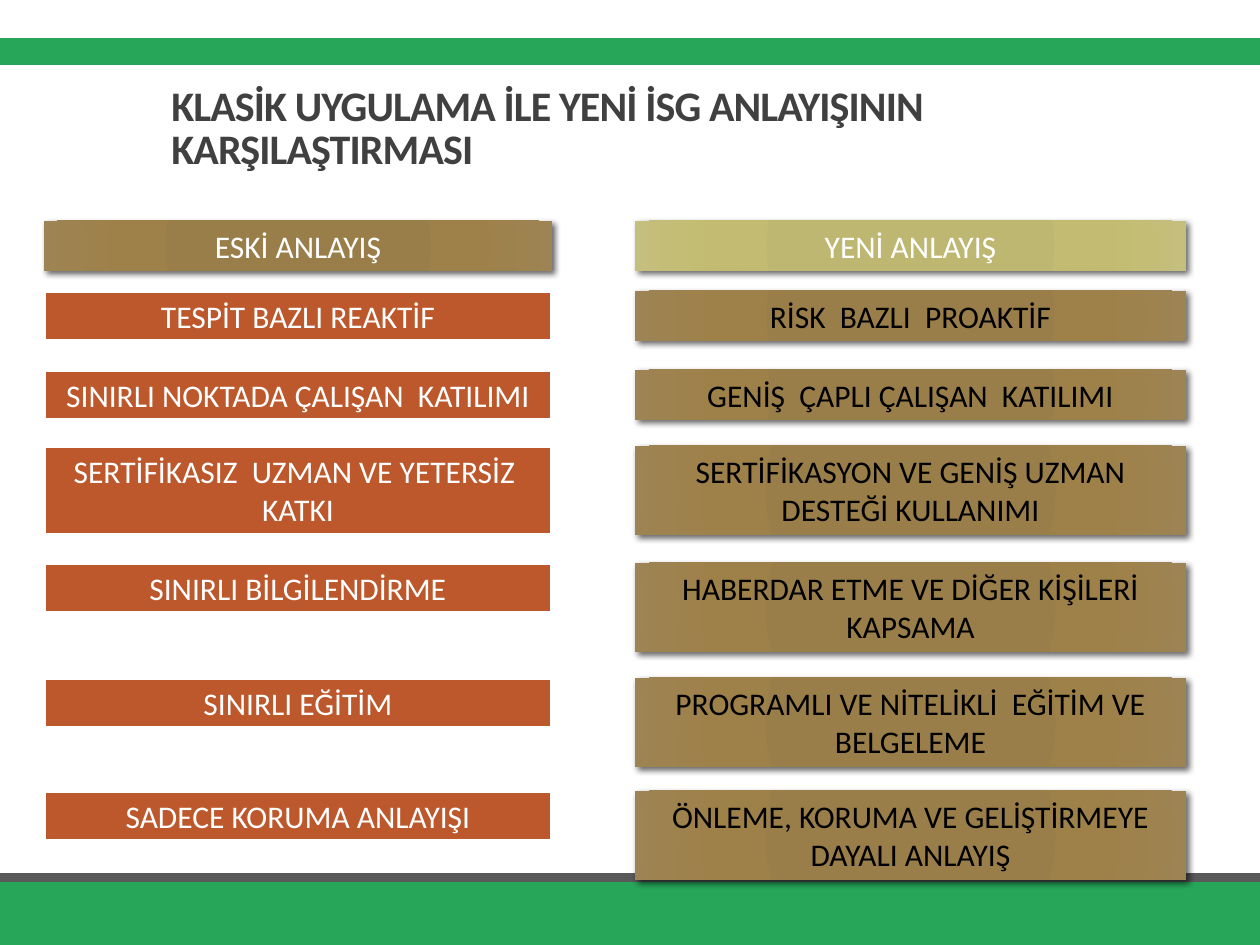
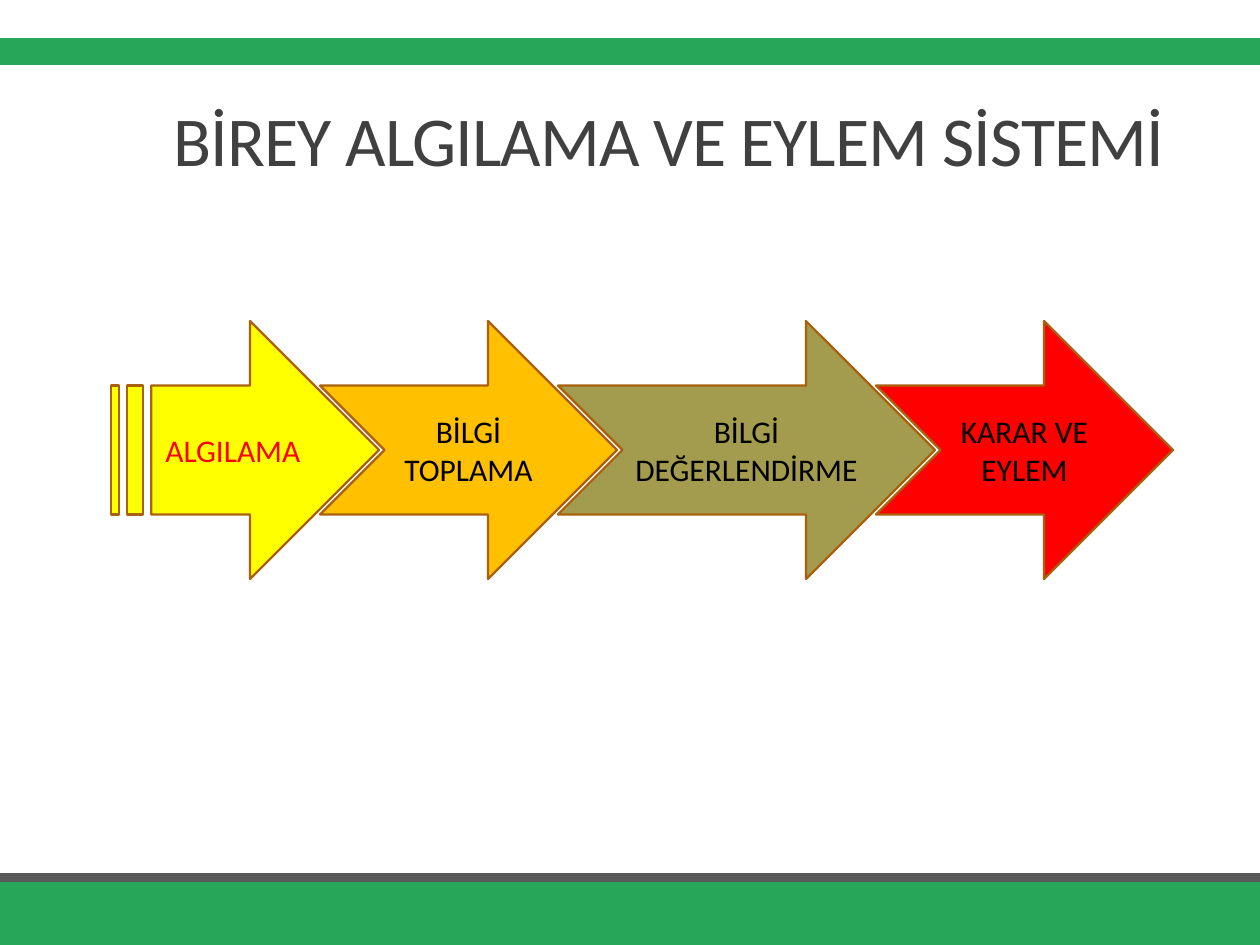
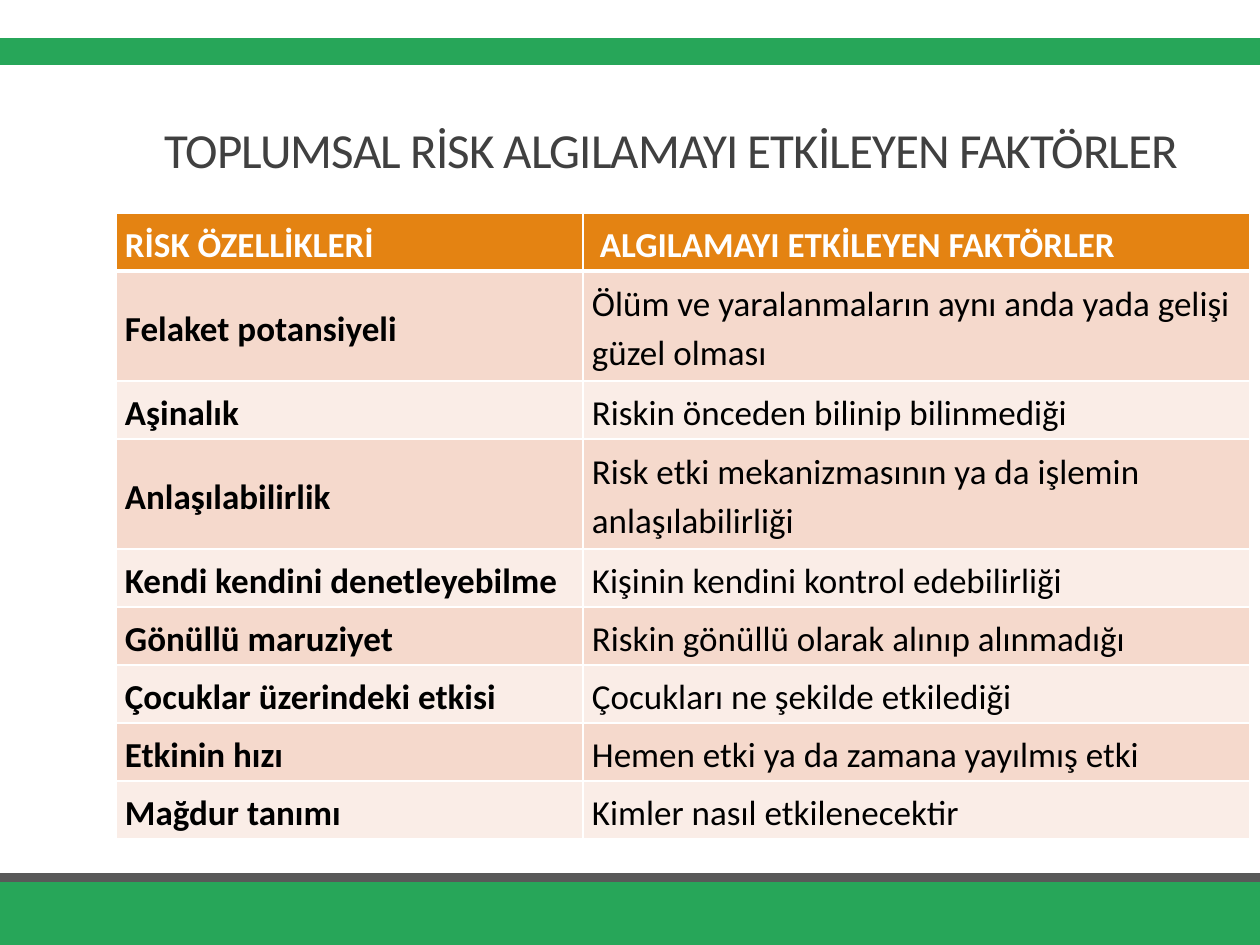
from lxml.etree import SubElement
from pptx import Presentation
from pptx.dml.color import RGBColor
from pptx.enum.shapes import MSO_SHAPE
from pptx.enum.text import MSO_ANCHOR, MSO_AUTO_SIZE, PP_ALIGN
from pptx.oxml import parse_xml
from pptx.oxml.ns import nsdecls, qn
from pptx.util import Emu, Pt

FONT = "Calibri"
WHITE, BLACK = "FFFFFF", "000000"
GREEN, GRAY, TITLE_COLOR = "27A659", "595959", "404040"
RUST, ARROW_LINE = "BD582C", "A9610D"
BRONZE = ["9A7D48", "9A7E4A", "9E8049", "9E8454"]
OLIVE = ["BEB76E", "BEB771", "C3BB71", "C5BF7D"]
GRADIENT_STOPS = [0, 34, 70, 100]
TABLE_HEAD, TABLE_BANDS = "E48312", ["F5D9CC", "FAEDE7"]

COMPARISON = [
    ("TESPİT BAZLI REAKTİF", "RİSK  BAZLI  PROAKTİF"),
    ("SINIRLI NOKTADA ÇALIŞAN  KATILIMI", "GENİŞ  ÇAPLI ÇALIŞAN  KATILIMI"),
    ("SERTİFİKASIZ  UZMAN VE YETERSİZ  KATKI",
     "SERTİFİKASYON VE GENİŞ UZMAN DESTEĞİ KULLANIMI"),
    ("SINIRLI BİLGİLENDİRME", "HABERDAR ETME VE DİĞER KİŞİLERİ KAPSAMA"),
    ("SINIRLI EĞİTİM", "PROGRAMLI VE NİTELİKLİ  EĞİTİM VE BELGELEME"),
    ("SADECE KORUMA ANLAYIŞI", "ÖNLEME, KORUMA VE GELİŞTİRMEYE DAYALI ANLAYIŞ"),
]
ROW_TOPS = [70, 149, 225, 342, 457, 570]
ONE_LINE, TWO_LINES = 50, 89
LEFT_HEIGHTS = [ONE_LINE] * 2 + [TWO_LINES] + [ONE_LINE] * 3
RIGHT_HEIGHTS = [ONE_LINE] * 2 + [TWO_LINES] * 4

STEPS = [
    ("ALGILAMA", MSO_SHAPE.STRIPED_RIGHT_ARROW, 268, "FFFF00", "FF0000"),
    ("BİLGİ TOPLAMA", MSO_SHAPE.NOTCHED_RIGHT_ARROW, 297, "FFC000", BLACK),
    ("BİLGİ DEĞERLENDİRME", MSO_SHAPE.NOTCHED_RIGHT_ARROW, 377, "A39B4E", BLACK),
    ("KARAR VE EYLEM", MSO_SHAPE.NOTCHED_RIGHT_ARROW, 297, "FF0000", BLACK),
]
STEP_OVERLAP = 59

FACTORS = [
    ("RİSK ÖZELLİKLERİ", "ALGILAMAYI ETKİLEYEN FAKTÖRLER"),
    ("Felaket potansiyeli", "Ölüm ve yaralanmaların aynı anda yada gelişi güzel olması"),
    ("Aşinalık", "Riskin önceden bilinip bilinmediği"),
    ("Anlaşılabilirlik", "Risk etki mekanizmasının ya da işlemin anlaşılabilirliği"),
    ("Kendi kendini denetleyebilme", "Kişinin kendini kontrol edebilirliği"),
    ("Gönüllü maruziyet", "Riskin gönüllü olarak alınıp alınmadığı"),
    ("Çocuklar üzerindeki etkisi", "Çocukları ne şekilde etkilediği"),
    ("Etkinin hızı", "Hemen etki ya da zamana yayılmış etki"),
    ("Mağdur tanımı", "Kimler nasıl etkilenecektir"),
]
FACTOR_COLUMNS = [467, 667]
FACTOR_ROWS = [58, 110, 58, 110] + [58] * 5


def px(length):
    return Emu(round(length * 914400 / 126))


def color(value):
    return RGBColor.from_string(value)


def format_text(frame, text, size, text_color, bold=False):
    frame.word_wrap = True
    frame.text = text
    para = frame.paragraphs[0]
    span = para.runs[0]
    span.font.name = FONT
    span.font.size = Pt(size)
    span.font.bold = bold
    span.font.color.rgb = color(text_color)
    return para


def add_block(page, kind, box, fill=None, line=None, line_width=1.25):
    shape = page.shapes.add_shape(kind, *map(px, box))
    shape.shadow.inherit = False
    if fill:
        shape.fill.solid()
        shape.fill.fore_color.rgb = color(fill)
    if line:
        shape.line.color.rgb = color(line)
        shape.line.width = Pt(line_width)
    else:
        shape.line.fill.background()
    return shape


def add_gradient(shape, colors):
    stops = "".join(
        f'<a:gs pos="{stop * 1000}"><a:srgbClr val="{value}"/></a:gs>'
        for stop, value in zip(GRADIENT_STOPS, colors))
    gradient = parse_xml(
        f'<a:gradFill {nsdecls("a")} rotWithShape="1"><a:gsLst>{stops}</a:gsLst>'
        '<a:path path="circle"><a:fillToRect l="100000" t="100000" r="100000" b="100000"/>'
        '</a:path></a:gradFill>')
    properties = shape._element.spPr
    properties.find(qn("a:prstGeom")).addnext(gradient)


def add_shadow(shape):
    effects = shape._element.spPr.find(qn("a:effectLst"))
    outer = SubElement(effects, qn("a:outerShdw"), blurRad=str(Pt(3.5)),
                       dist=str(Pt(2)), dir="2700000", rotWithShape="0")
    shade = SubElement(outer, qn("a:srgbClr"), val=BLACK)
    SubElement(shade, qn("a:alpha"), val="60000")


def add_label(page, box, text, fill, text_color):
    if isinstance(fill, list):
        shape = add_block(page, MSO_SHAPE.RECTANGLE, box)
        add_gradient(shape, fill)
        add_shadow(shape)
    else:
        shape = add_block(page, MSO_SHAPE.RECTANGLE, box, fill, WHITE, 2)
    frame = shape.text_frame
    frame.vertical_anchor = MSO_ANCHOR.TOP
    frame.auto_size = MSO_AUTO_SIZE.SHAPE_TO_FIT_TEXT
    format_text(frame, text, 18, text_color).alignment = PP_ALIGN.CENTER


def add_page(deck, title, box, size, bold=False):
    page = deck.slides.add_slide(deck.slide_layouts[6])
    add_block(page, MSO_SHAPE.RECTANGLE, (0, 882, 1260, 63), GREEN)
    add_block(page, MSO_SHAPE.RECTANGLE, (0, 873, 1260, 9), GRAY)
    add_block(page, MSO_SHAPE.RECTANGLE, (0, 39, 1260, 25), GREEN, GREEN)
    frame = page.shapes.add_textbox(*map(px, box)).text_frame
    frame.vertical_anchor = MSO_ANCHOR.BOTTOM
    para = format_text(frame, title, size, TITLE_COLOR, bold)
    para.line_spacing = 0.85
    para.runs[0].font._element.set("spc", "-50")
    return page


def add_comparison_column(page, box, heading, heading_fill, texts, heights, fill, text_color):
    left, top, width = box
    add_label(page, (left, top, width, ONE_LINE), heading, heading_fill, WHITE)
    for text, offset, height in zip(texts, ROW_TOPS, heights):
        add_label(page, (left, top + offset, width, height), text, fill, text_color)


def add_process(page, box):
    left, top, height = box
    for text, kind, width, fill, text_color in STEPS:
        arrow = add_block(page, kind, (left, top, width, height), fill, ARROW_LINE)
        arrow.text_frame.vertical_anchor = MSO_ANCHOR.MIDDLE
        format_text(arrow.text_frame, text, 18, text_color).alignment = PP_ALIGN.CENTER
        left += width - STEP_OVERLAP


def add_borders(cell, bottom_width):
    properties = cell._tc.get_or_add_tcPr()
    widths = {"lnL": 1, "lnR": 1, "lnT": 1, "lnB": bottom_width}
    for index, (side, width) in enumerate(widths.items()):
        properties.insert(index, parse_xml(
            f'<a:{side} {nsdecls("a")} w="{Pt(width)}"><a:solidFill>'
            f'<a:srgbClr val="{WHITE}"/></a:solidFill></a:{side}>'))


def add_factor_table(page, left, top):
    table = page.shapes.add_table(
        len(FACTORS), len(FACTOR_COLUMNS), px(left), px(top),
        px(sum(FACTOR_COLUMNS)), px(sum(FACTOR_ROWS))).table
    table.horz_banding = False
    for column, width in zip(table.columns, FACTOR_COLUMNS):
        column.width = px(width)
    for row, height in zip(table.rows, FACTOR_ROWS):
        row.height = px(height)
    for row_index, texts in enumerate(FACTORS):
        heading = row_index == 0
        fill = TABLE_HEAD if heading else TABLE_BANDS[(row_index - 1) % 2]
        for column_index, text in enumerate(texts):
            cell = table.cell(row_index, column_index)
            cell.fill.solid()
            cell.fill.fore_color.rgb = color(fill)
            add_borders(cell, 3 if heading else 1)
            cell.vertical_anchor = MSO_ANCHOR.MIDDLE
            cell.margin_left = px(17 if heading and column_index else 9)
            cell.margin_right = px(9)
            cell.margin_top = cell.margin_bottom = 0
            para = format_text(cell.text_frame, text, 20, WHITE if heading else BLACK,
                               heading or column_index == 0)
            para.line_spacing = 1.15


def main():
    deck = Presentation()
    deck.slide_width, deck.slide_height = px(1260), px(945)

    page = add_page(deck, "KLASİK UYGULAMA İLE YENİ İSG ANLAYIŞININ KARŞILAŞTIRMASI",
                    (159, 34, 1077, 145), 24, True)
    old_texts, new_texts = zip(*COMPARISON)
    add_comparison_column(page, (44, 221, 508), "ESKİ ANLAYIŞ", BRONZE,
                          old_texts, LEFT_HEIGHTS, RUST, WHITE)
    add_comparison_column(page, (635, 221, 551), "YENİ ANLAYIŞ", OLIVE,
                          new_texts, RIGHT_HEIGHTS, BRONZE, BLACK)

    page = add_page(deck, "BİREY ALGILAMA VE EYLEM SİSTEMİ", (161, 72, 1040, 115), 40)
    add_process(page, (111, 321, 258))

    page = add_page(deck, "TOPLUMSAL RİSK ALGILAMAYI ETKİLEYEN FAKTÖRLER",
                    (152, 78, 1058, 107), 28)
    add_factor_table(page, 116, 213)

    deck.save("out.pptx")


if __name__ == "__main__":
    main()
